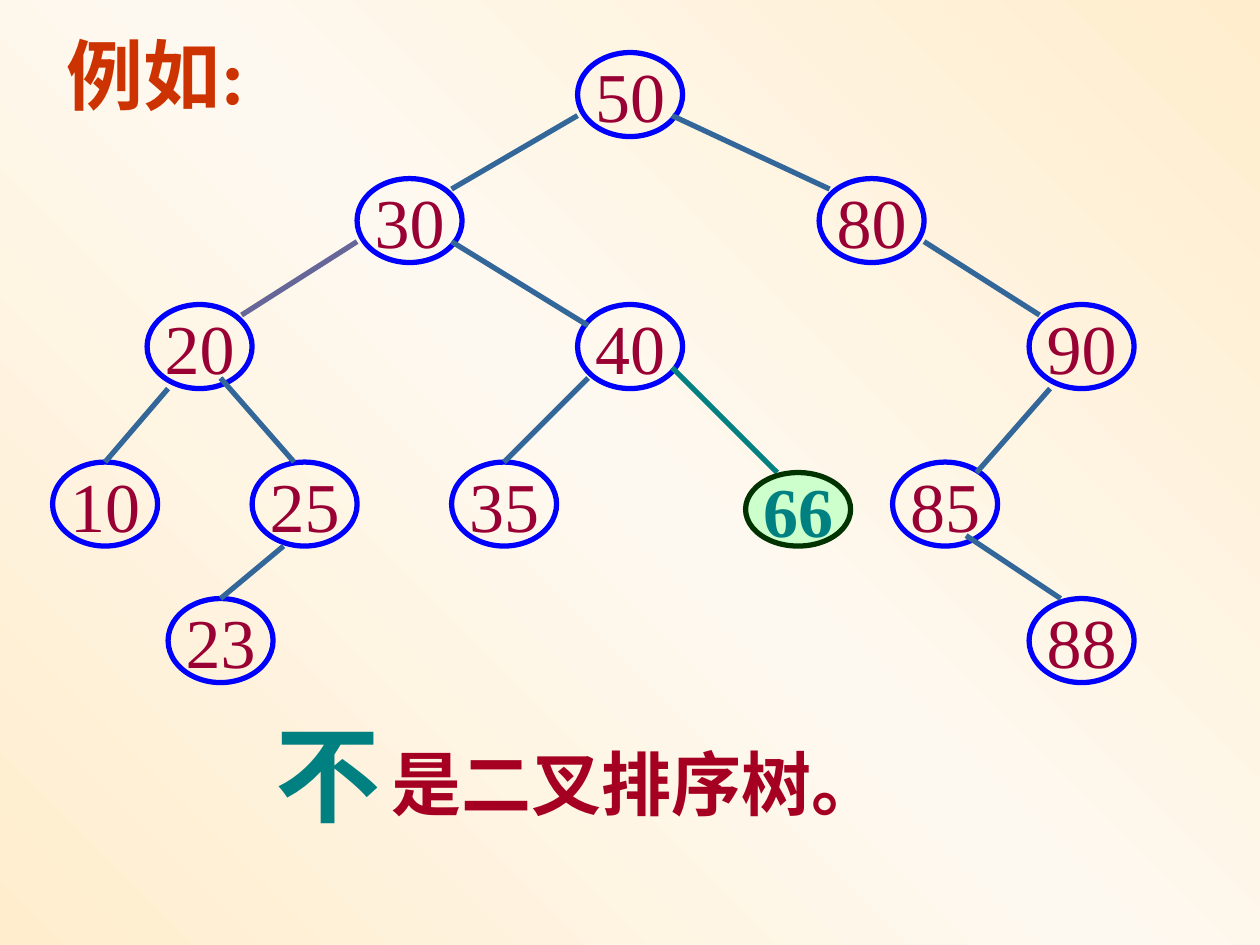
from copy import deepcopy
from dataclasses import dataclass

from lxml import etree
from pptx import Presentation
from pptx.dml.color import RGBColor
from pptx.enum.shapes import MSO_CONNECTOR, MSO_SHAPE
from pptx.enum.text import MSO_ANCHOR, MSO_AUTO_SIZE, PP_ALIGN
from pptx.oxml.ns import qn
from pptx.util import Cm, Pt

ELLIPSE = MSO_SHAPE.OVAL
STRAIGHT = MSO_CONNECTOR.STRAIGHT
TOP, MIDDLE = MSO_ANCHOR.TOP, MSO_ANCHOR.MIDDLE
LEFT, CENTER = PP_ALIGN.LEFT, PP_ALIGN.CENTER
FIT_SHAPE = MSO_AUTO_SIZE.SHAPE_TO_FIT_TEXT
TOP_SITE = 0
GRID = Cm(2.54) / 12
NODE_WIDTH, NODE_HEIGHT = 10, 8


@dataclass(frozen=True)
class Theme:
    font: str = "Times New Roman"
    title: str = "CC3300"
    conclusion: str = "A50021"
    key: str = "990033"
    node: str = "0000FF"
    edge: str = "336699"
    soft_edge: str = "666699"
    accent: str = "008080"
    wrong_fill: str = "CCFFCC"
    wrong_line: str = "003300"
    background: tuple = ("FFEDCD", "FEF9F0", "FFEDCD")
    title_size: int = 44
    text_size: int = 40
    emphasis_size: int = 60
    line_width: int = 3


THEME = Theme()

NODES = {
    "50": (50, 0), "30": (29, 12), "80": (73, 12), "20": (9, 24),
    "90": (93, 24), "10": (0, 39), "85": (80, 39), "40": (50, 24),
    "35": (38, 39), "25": (19, 39), "23": (11, 52), "88": (93, 52),
}
EDGES = [
    ((50, 6), (38, 13), THEME.edge, None),
    ((29, 18), (18, 25), THEME.soft_edge, None),
    ((59, 6), (74, 13), THEME.edge, None),
    ((38, 18), (51, 26), THEME.edge, None),
    ((11, 32), (5, 39), THEME.edge, "10"),
    ((16, 31), (23, 39), THEME.edge, None),
    ((22, 47), (16, 52), THEME.edge, "23"),
    ((51, 31), (43, 39), THEME.edge, "35"),
    ((83, 18), (94, 25), THEME.edge, None),
    ((95, 32), (88, 40), THEME.edge, None),
    ((87, 46), (96, 52), THEME.edge, None),
    ((59, 30), (69, 40), THEME.accent, None),
]


def color(value):
    return RGBColor.from_string(value)


def set_text(shape, text, size, text_color, bold=True, alignment=LEFT, anchor=TOP):
    frame = shape.text_frame
    frame.text = text
    frame.word_wrap = False
    frame.vertical_anchor = anchor
    paragraph = frame.paragraphs[0]
    paragraph.alignment = alignment
    font = paragraph.font
    font.name = THEME.font
    font.size = Pt(size)
    font.bold = bold
    font.color.rgb = color(text_color)


def paint_background(slide):
    fill = slide.background.fill
    fill.gradient()
    fill.gradient_angle = 225
    stop_list = slide.element.find(".//" + qn("a:gsLst"))
    stop_list.append(deepcopy(stop_list[-1]))
    for index, (stop, value) in enumerate(zip(fill.gradient_stops, THEME.background)):
        stop.position = index / 2
        stop.color.rgb = color(value)


def add_title(slide, left, top, width, height):
    title = slide.shapes.title
    title.left, title.top, title.width, title.height = left, top, width, height
    set_text(title, "例如:", THEME.title_size, THEME.title)
    title.text_frame.auto_size = FIT_SHAPE


def add_node(slide, left, top, key, height=NODE_HEIGHT, wrong=False):
    node = slide.shapes.add_shape(
        ELLIPSE, left, top, round(NODE_WIDTH * GRID), round(height * GRID))
    node.shadow.inherit = False
    if wrong:
        node.fill.solid()
        node.fill.fore_color.rgb = color(THEME.wrong_fill)
    else:
        node.fill.background()
    node.line.color.rgb = color(THEME.wrong_line if wrong else THEME.node)
    node.line.width = Pt(THEME.line_width)
    set_text(node, key, THEME.text_size, THEME.accent if wrong else THEME.key,
             wrong, CENTER, MIDDLE)
    return node


def add_edge(slide, start, end, line_color, child=None):
    edge = slide.shapes.add_connector(STRAIGHT, *start, *end)
    edge.line.color.rgb = color(line_color)
    edge.line.width = Pt(THEME.line_width)
    etree.SubElement(edge.element.spPr, qn("a:effectLst"))
    if child is not None:
        edge.end_connect(child, TOP_SITE)


def add_tree(slide, left, top):
    def place(column, row):
        return left + round(column * GRID), top + round(row * GRID)

    nodes = {key: add_node(slide, *place(*cell), key) for key, cell in NODES.items()}
    for start, end, line_color, child in EDGES:
        add_edge(slide, place(*start), place(*end), line_color, nodes.get(child))
    add_node(slide, *place(66, 40), "66", height=7, wrong=True)


def add_label(slide, left, top, width, height, text, size, text_color):
    label = slide.shapes.add_textbox(left, top, width, height)
    set_text(label, text, size, text_color)
    label.text_frame.auto_size = FIT_SHAPE


def add_conclusion(slide, left, top):
    add_label(slide, left + Cm(2.34), top + Cm(0.64), Cm(10.36), Cm(1.96),
              "是二叉排序树。", THEME.text_size, THEME.conclusion)
    add_label(slide, left, top, Cm(2.62), Cm(2.79),
              "不", THEME.emphasis_size, THEME.accent)


def main():
    presentation = Presentation()
    presentation.slide_width, presentation.slide_height = Cm(25.4), Cm(19.05)
    slide = presentation.slides.add_slide(presentation.slide_layouts[5])
    paint_background(slide)
    add_title(slide, Cm(1.09), Cm(0.43), Cm(4.5), Cm(2.13))
    add_tree(slide, Cm(1.06), Cm(1.06))
    add_conclusion(slide, Cm(5.31), Cm(14.17))
    presentation.save("out.pptx")


if __name__ == "__main__":
    main()
